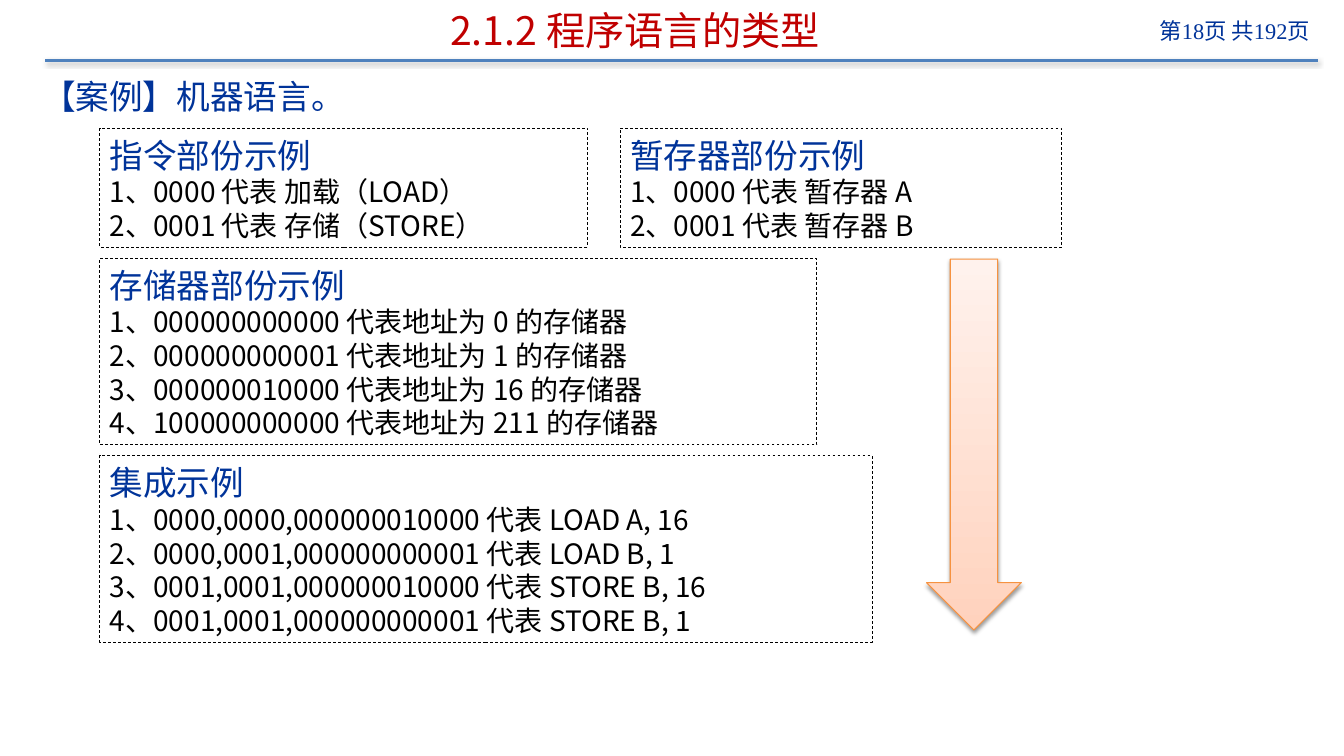
import pptx
import pptx.util
import pptx.dml.color
import pptx.enum.dml
import pptx.enum.shapes
import pptx.enum.text
import pptx.oxml
import pptx.oxml.ns
import lxml.etree

Inches, Pt = pptx.util.Inches, pptx.util.Pt
Align, Anchor = pptx.enum.text.PP_ALIGN, pptx.enum.text.MSO_ANCHOR
Kind = pptx.enum.shapes.MSO_SHAPE

# Content
TITLE = "2.1.2 程序语言的类型"
PAGE = "第18页 共192页"
CASE = "【案例】机器语言。"
# left, top, width, height, heading, items
BOXES = [
    (0.99, 1.27, 4.84, 1.18, "指令部份示例",
     ["0000 代表 加载（LOAD）", "0001 代表 存储（STORE）"]),
    (6.15, 1.27, 4.38, 1.18, "暂存器部份示例",
     ["0000 代表 暂存器 A", "0001 代表 暂存器 B"]),
    (0.99, 2.56, 7.11, 1.85, "存储器部份示例",
     ["000000000000 代表地址为 0 的存储器",
      "000000000001 代表地址为 1 的存储器",
      "000000010000 代表地址为 16 的存储器",
      "100000000000 代表地址为 211 的存储器"]),
    (0.99, 4.52, 7.66, 1.85, "集成示例",
     ["0000,0000,000000010000 代表 LOAD A, 16",
      "0000,0001,000000000001 代表 LOAD B, 1",
      "0001,0001,000000010000 代表 STORE B, 16",
      "0001,0001,000000000001 代表 STORE B, 1"]),
]
COLORS = {"red": "C00000", "navy": "003399", "black": "000000",
          "rule": "4F81BD", "edge": "F69240",
          "pale": "FFF2ED", "peach": "FFD2BD"}
SANS, SERIF = "Noto Sans CJK SC", "Times New Roman"


def rgb(name):
    return pptx.dml.color.RGBColor.from_string(COLORS[name])


def write(para, text, size, face, color, pitch=None):
    para.text = text
    font = para.font
    font.size, font.name = Pt(size), face
    font.color.rgb = rgb(color)
    if pitch:
        para.line_spacing = Pt(pitch)
    # East Asian face follows the Latin one
    latin = font._element.find(pptx.oxml.ns.qn("a:latin"))
    asian = lxml.etree.Element(pptx.oxml.ns.qn("a:ea"), typeface=SANS)
    latin.addnext(asian)


def label(place, text, size, face, color, align, anchor, pitch=None):
    box = slide.shapes.add_textbox(*map(Inches, place))
    frame = box.text_frame
    frame.word_wrap = True
    frame.vertical_anchor = anchor
    para = frame.paragraphs[0]
    para.alignment = align
    write(para, text, size, face, color, pitch)


def shade(shape):
    space = pptx.oxml.ns.nsdecls("a")
    shape._element.spPr.append(pptx.oxml.parse_xml(
        f'<a:effectLst {space}><a:outerShdw blurRad="39370" dist="20320" '
        'dir="5400000" rotWithShape="0"><a:srgbClr val="000000">'
        '<a:alpha val="38000"/></a:srgbClr></a:outerShdw></a:effectLst>'))


deck = pptx.Presentation()
deck.slide_width, deck.slide_height = Inches(13.33), Inches(7.5)
slide = deck.slides.add_slide(deck.slide_layouts[6])

# Header rule, page number, title and case line
rule = slide.shapes.add_connector(
    pptx.enum.shapes.MSO_CONNECTOR.STRAIGHT,
    Inches(0.45), Inches(0.6), Inches(13.07), Inches(0.6))
rule.line.color.rgb = rgb("rule")
rule.line.width = Pt(2)
shade(rule)
label((10.83, 0.12, 2.26, 0.45), PAGE, 16, SERIF, "navy",
      Align.RIGHT, Anchor.TOP)
label((0.77, 0.02, 11.06, 0.56), TITLE, 28, SANS, "red",
      Align.CENTER, Anchor.MIDDLE)
label((0.32, 0.69, 12.74, 0.56), CASE, 24, SERIF, "navy",
      Align.LEFT, Anchor.TOP, 30)

# Dashed example boxes
for left, top, width, height, head, items in BOXES:
    box = slide.shapes.add_shape(
        Kind.RECTANGLE, *map(Inches, (left, top, width, height)))
    box.shadow.inherit = False
    box.fill.background()
    box.line.color.rgb = rgb("black")
    box.line.width = Pt(0.5)
    box.line.dash_style = pptx.enum.dml.MSO_LINE.DASH
    frame = box.text_frame
    frame.word_wrap = True
    frame.vertical_anchor = Anchor.TOP
    write(frame.paragraphs[0], head, 24, SERIF, "navy", 30)
    for num, item in enumerate(items, 1):
        write(frame.add_paragraph(), f"{num}、{item}", 20, SANS, "black", 24)
    for para in frame.paragraphs:
        para.alignment = Align.LEFT

# Down arrow
arrow = slide.shapes.add_shape(
    Kind.DOWN_ARROW, *map(Inches, (9.19, 2.57, 0.94, 3.68)))
arrow.fill.gradient()
arrow.fill.gradient_angle = 270
for stop, name in zip(arrow.fill.gradient_stops, ("pale", "peach")):
    stop.color.rgb = rgb(name)
arrow.line.color.rgb = rgb("edge")
arrow.line.width = Pt(0.75)
shade(arrow)

deck.save("out.pptx")
